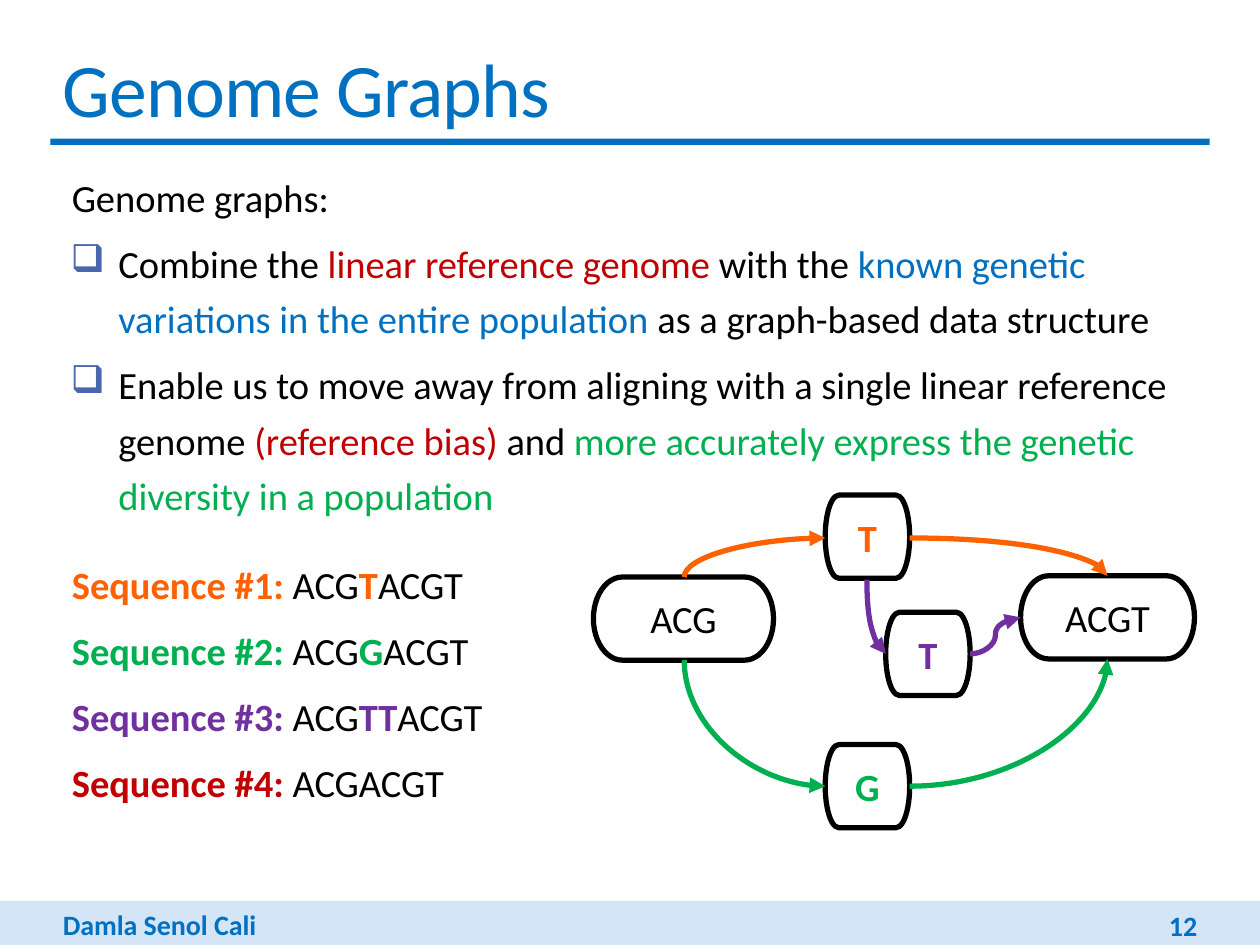
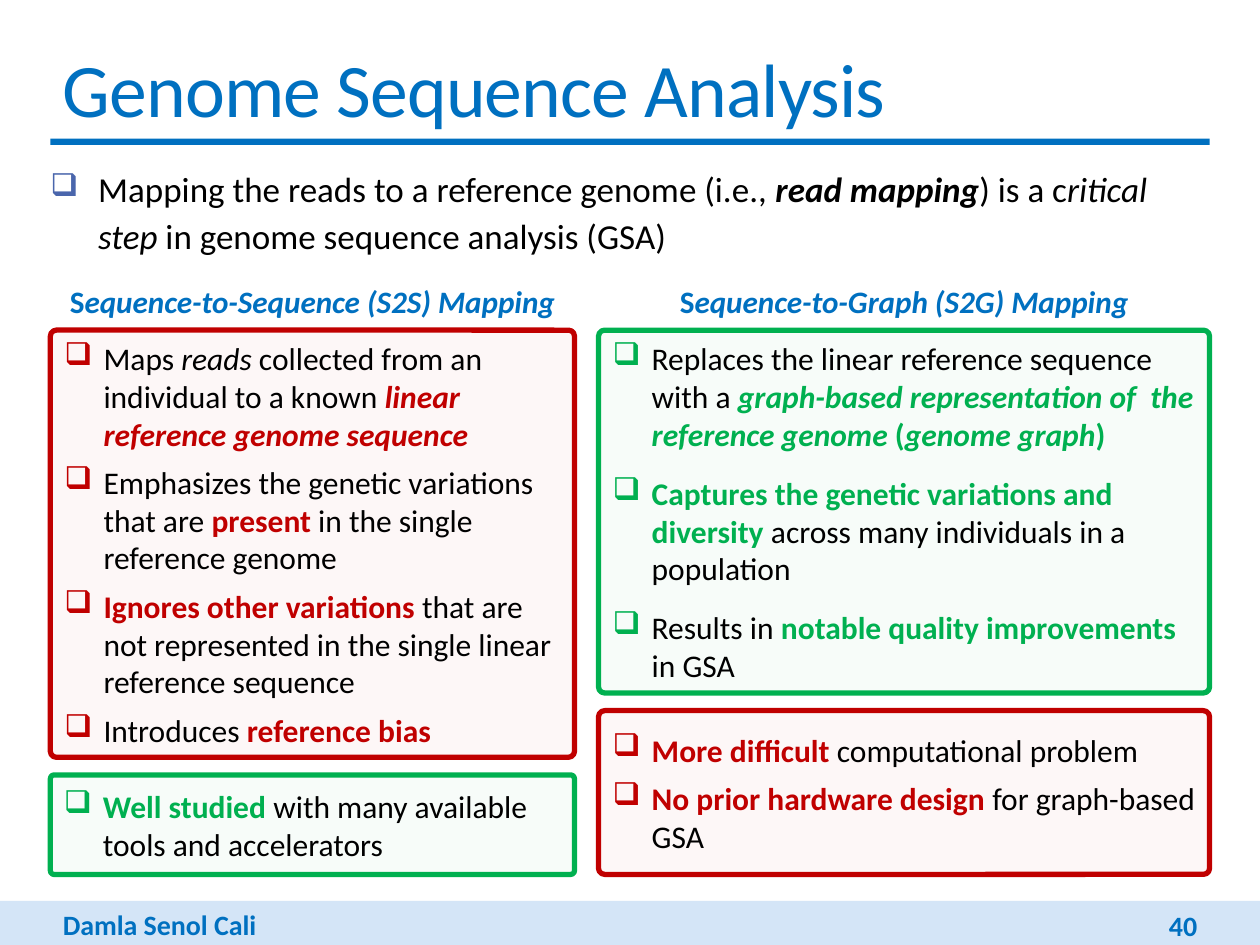
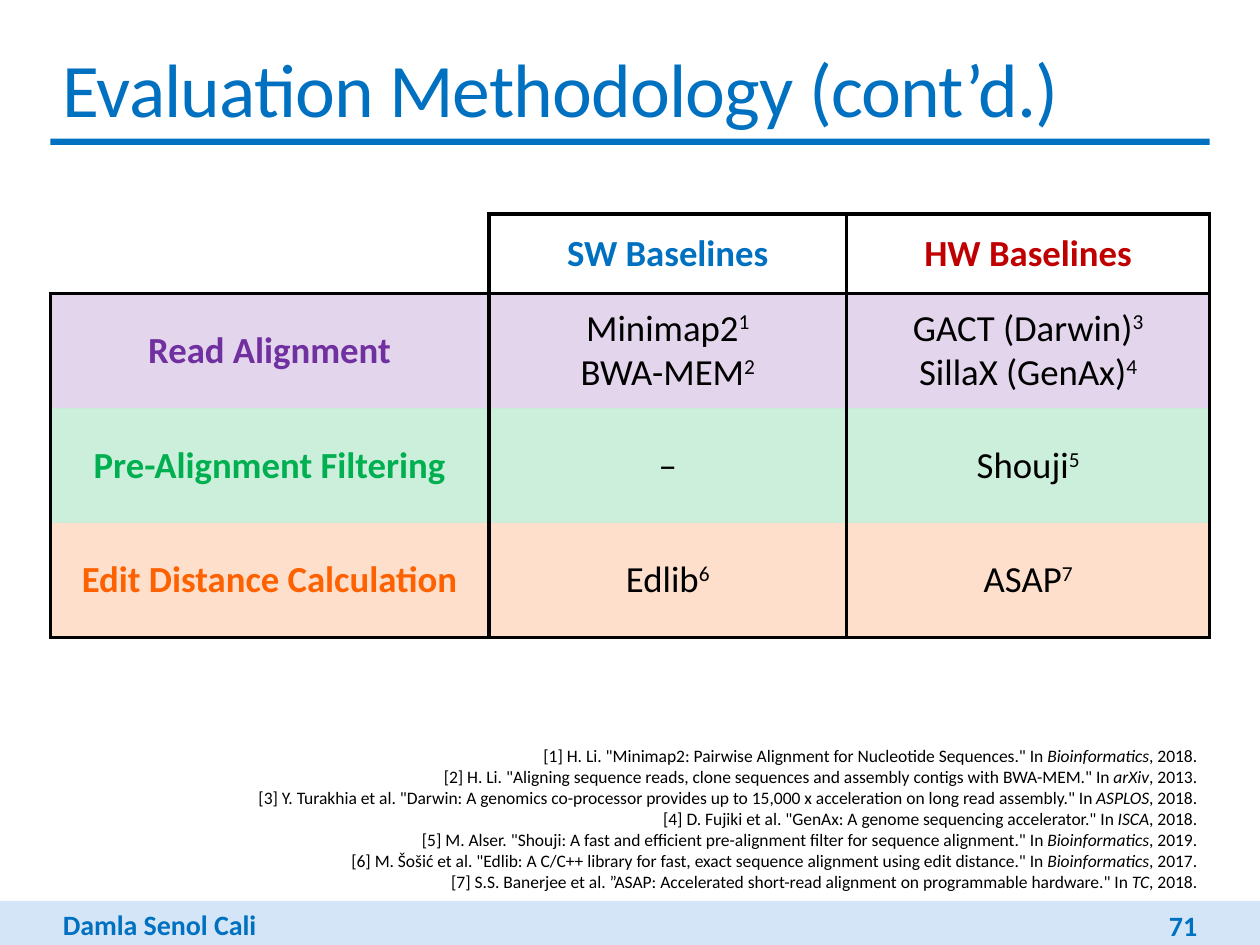
import pptx
import pptx.util
import pptx.dml.color
import pptx.enum.shapes
import pptx.enum.text
import pptx.oxml
import pptx.oxml.ns

Inches = pptx.util.Inches
Pt = pptx.util.Pt
qn = pptx.oxml.ns.qn
RGB = pptx.dml.color.RGBColor.from_string
Shape = pptx.enum.shapes.MSO_SHAPE
Curve = pptx.enum.shapes.MSO_CONNECTOR.CURVE
Align = pptx.enum.text.PP_ALIGN
Mid = pptx.enum.text.MSO_ANCHOR.MIDDLE
Top = pptx.enum.text.MSO_ANCHOR.TOP
SPACE = 'xmlns:a="http://schemas.openxmlformats.org/drawingml/2006/main"'

hues = {
    "black": "000000",
    "blue": "0070C0",
    "band": "D4E5F7",
    "mark": "4A66AC",
    "red": "C00000",
    "green": "00B050",
    "purple": "7030A0",
    "orange": "FE6200",
}


def write(frame, paras, look):
    side = Inches(look.get("side", 0.1))
    for key, val in {
        "word_wrap": True,
        "vertical_anchor": look.get("anchor", Top),
        "margin_left": side,
        "margin_right": side,
    }.items():
        setattr(frame, key, val)
    for row, runs in enumerate(paras):
        para = frame.add_paragraph() if row else frame.paragraphs[0]
        props = para._p.get_or_add_pPr()
        left, hang = look.get("indent", (0, 0))
        if row < look.get("lead", 0):
            left, hang = 0.17, 0
        elif "bullet" in look:
            for tag in (
                f'<a:buClr {SPACE}><a:srgbClr val="{hues[look["bullet"]]}"/></a:buClr>',
                f'<a:buSzPct {SPACE} val="{look.get("scale", 100)}000"/>',
                f'<a:buChar {SPACE} char="❑"/>',
            ):
                props.append(pptx.oxml.parse_xml(tag))
        props.set("marL", str(Inches(left)))
        props.set("indent", str(Inches(hang)))
        for key, val in {
            "alignment": look.get("align", Align.LEFT),
            "line_spacing": look.get("line", 1.0),
            "space_before": Pt(look.get("before", 0) if row else 0),
            "space_after": Pt(look.get("after", 0)),
        }.items():
            setattr(para, key, val)
        for text, style in runs:
            words = style.split()
            run = para.add_run()
            run.text = text
            for key, val in {
                "name": "Calibri",
                "size": Pt(look["size"]),
                "bold": "b" in words,
                "italic": "i" in words,
            }.items():
                setattr(run.font, key, val)
            hue = next((word for word in words if word in hues), "black")
            run.font.color.rgb = RGB(hues[hue])
            if "sup" in words:
                run.font._element.set("baseline", "30000")
            if "track" in look:
                run.font._element.set("spc", look["track"])


def tint(fill, node, hue, share):
    fill.solid()
    fill.fore_color.rgb = RGB(hues[hue])
    color = next(node.iter(qn("a:srgbClr")))
    color.append(pptx.oxml.parse_xml(f'<a:alpha {SPACE} val="{share}000"/>'))


deck = pptx.Presentation()
deck.slide_width = Inches(10)
deck.slide_height = Inches(7.5)

head = {"size": 43.2, "anchor": Mid, "track": "-50"}
foot = {"size": 16}
page_no = {"size": 16, "anchor": Mid, "align": Align.RIGHT}
body = {"size": 22, "side": 0, "line": 1.2, "after": 6}
points = body | {"indent": (0.54, -0.38), "bullet": "mark", "lead": 1}
claim = {"size": 20, "side": 0, "line": 1.1, "indent": (0.38, -0.38), "bullet": "mark", "scale": 90}
label = {"size": 17.8, "align": Align.CENTER}
card = {"size": 18, "anchor": Mid, "indent": (0.31, -0.31)}
node_look = {"size": 22, "anchor": Mid, "align": Align.CENTER}
cell_look = {"size": 21, "anchor": Mid, "align": Align.CENTER}
cite_look = {"size": 10, "align": Align.RIGHT, "indent": (0.11, 0)}

reads = [
    [("Sequence #1: ", "b orange"), ("ACG", ""), ("T", "b orange"), ("ACGT", "")],
    [("Sequence #2: ", "b green"), ("ACG", ""), ("G", "b green"), ("ACGT", "")],
    [("Sequence #3: ", "b purple"), ("ACG", ""), ("TT", "b purple"), ("ACGT", "")],
    [("Sequence #4: ", "b red"), ("ACGACGT", "")],
]
graphs = [
    [("Genome graphs:", "")],
    [
        ("Combine the ", ""),
        ("linear reference genome ", "red"),
        ("with the ", ""),
        ("known genetic variations in the entire population ", "blue"),
        ("as a graph-based data structure", ""),
    ],
    [
        ("Enable us to move away from aligning with a single linear reference genome ", ""),
        ("(reference bias) ", "red"),
        ("and ", ""),
        ("more accurately express the genetic diversity in a population", "green"),
    ],
]
mapping = [[
    ("Mapping the reads to a reference genome (i.e., ", ""),
    ("read mapping", "b i"),
    (") is a c", ""),
    ("ritical step", "i"),
    (" in genome sequence analysis (GSA)", ""),
]]
cites = [
    ('H. Li. "Minimap2: Pairwise Alignment for Nucleotide Sequences."', "Bioinformatics", 2018),
    ('H. Li. "Aligning sequence reads, clone sequences and assembly contigs with BWA-MEM."', "arXiv", 2013),
    ('Y. Turakhia et al. "Darwin: A genomics co-processor provides up to 15,000 x acceleration on long read assembly."', "ASPLOS", 2018),
    ('D. Fujiki et al. "GenAx: A genome sequencing accelerator."', "ISCA", 2018),
    ('M. Alser. "Shouji: A fast and efficient pre-alignment filter for sequence alignment."', "Bioinformatics", 2019),
    ('M. Šošić et al. "Edlib: A C/C++ library for fast, exact sequence alignment using edit distance."', "Bioinformatics", 2017),
    ('S.S. Banerjee et al. ”ASAP: Accelerated short-read alignment on programmable hardware."', "TC", 2018),
]
works = [
    [(f"[{num}] {work} In ", ""), (venue, "i"), (f", {year}.", "")]
    for num, (work, venue, year) in enumerate(cites, 1)
]

pages = []
for title, num, boxes in [
    ("Genome Graphs", 12, [
        ((0.4, 1.26, 9.2, 2.7), points, graphs),
        ((0.4, 4.33, 3.88, 2.55), body | {"indent": (0.17, 0)}, reads),
    ]),
    ("Genome Sequence Analysis", 40, [
        ((0.4, 1.25, 9.2, 0.84), claim, mapping),
        ((0.4, 2.19, 4.16, 0.4), label, [[("S", "b blue"), ("equence-to-Sequence (S2S) Mapping", "b i blue")]]),
        ((4.75, 2.19, 4.85, 0.4), label, [[("S", "b blue"), ("equence-to-Graph (S2G) Mapping", "b i blue")]]),
    ]),
    ("Evaluation Methodology (cont’d.)", 71, [
        ((0.4, 5.86, 9.2, 1.28), cite_look, works),
    ]),
]:
    page = deck.slides.add_slide(deck.slide_layouts[6])
    pages.append(page)
    for at, hue in [((0, 7.15, 10, 0.35), "band"), ((0.4, 1.1, 9.2, 0.05), "blue")]:
        bar = page.shapes.add_shape(Shape.RECTANGLE, *map(Inches, at))
        bar.shadow.inherit = False
        bar.fill.solid()
        bar.fill.fore_color.rgb = RGB(hues[hue])
        bar.line.fill.background()
    for at, look, paras in [
        ((0.4, 7.15, 2.5, 0.37), foot, [[("Damla Senol Cali", "b blue")]]),
        ((0.4, 0.28, 9.2, 0.82), head, [[(title, "blue")]]),
        ((8.22, 7.19, 1.38, 0.3), page_no, [[(str(num), "b blue")]]),
    ] + boxes:
        box = page.shapes.add_textbox(*map(Inches, at))
        write(box.text_frame, paras, look)

graph, study, setup = pages

for text, style, left, top, width in [
    ("ACG", "", 4.71, 4.58, 1.43),
    ("ACGT", "", 8.1, 4.57, 1.38),
    ("T", "b orange", 6.55, 3.93, 0.67),
    ("G", "b green", 6.55, 5.91, 0.67),
    ("T", "b purple", 7.03, 4.86, 0.67),
]:
    node = graph.shapes.add_shape(Shape.FLOWCHART_TERMINATOR, *map(Inches, (left, top, width, 0.66)))
    node.shadow.inherit = False
    node.fill.background()
    node.line.color.rgb = RGB(hues["black"])
    node.line.width = Pt(3)
    write(node.text_frame, [[(text, style)]], node_look)

for hue, bend, x1, y1, x2, y2 in [
    ("orange", "rise", 5.43, 4.58, 6.55, 4.27),
    ("green", "rise", 5.43, 5.24, 6.55, 6.24),
    ("orange", "run", 7.22, 4.27, 8.79, 4.57),
    ("green", "run", 7.22, 6.24, 8.79, 5.23),
    ("purple", "rise", 6.88, 4.6, 7.03, 5.19),
    ("purple", "wave", 7.7, 5.19, 8.1, 4.9),
]:
    ends = x1, y1, x2, y2
    if bend == "rise":
        midx, midy = (x1 + x2) / 2, (y1 + y2) / 2
        halfx, halfy = (x2 - x1) / 2, (y2 - y1) / 2
        ends = midx + halfy, midy - halfx, midx - halfy, midy + halfx
    edge = graph.shapes.add_connector(Curve, *map(Inches, ends))
    edge.line.color.rgb = RGB(hues[hue])
    edge.line.width = Pt(3)
    props = edge._element.spPr
    if bend != "wave":
        props.find(qn("a:prstGeom")).set("prst", "curvedConnector2")
    if bend == "rise":
        props.find(qn("a:xfrm")).set("rot", "16200000")
    props.find(qn("a:ln")).append(pptx.oxml.parse_xml(f'<a:tailEnd {SPACE} type="triangle"/>'))
    props.append(pptx.oxml.parse_xml(f"<a:effectLst {SPACE}/>"))

for at, hue, curve, gap, paras in [
    ((0.4, 2.62, 4.16, 3.39), "red", 0.014, 6, [
        [
            ("Maps ", ""),
            ("reads", "i"),
            (" collected from an individual to a known ", ""),
            ("linear reference genome sequence", "b i red"),
        ],
        [
            ("Emphasizes the genetic variations that are ", ""),
            ("present", "b red"),
            (" in the single reference genome", ""),
        ],
        [
            ("Ignores other variations ", "b red"),
            ("that are not represented in the single linear reference sequence", ""),
        ],
        [("Introduces ", ""), ("reference bias", "b red")],
    ]),
    ((4.75, 2.62, 4.85, 2.88), "green", 0.017, 12, [
        [
            ("Replaces the linear reference sequence with a ", ""),
            ("graph-based representation of  the reference genome", "b i green"),
            (" (", "b green"),
            ("genome graph", "b i green"),
            (")", "b green"),
        ],
        [
            ("Captures the genetic variations and diversity ", "b green"),
            ("across many individuals in a population", ""),
        ],
        [("Results in ", ""), ("notable quality improvements ", "b green"), ("in GSA", "")],
    ]),
    ((4.75, 5.64, 4.85, 1.3), "red", 0.038, 6, [
        [("More difficult ", "b red"), ("computational problem", "")],
        [("No prior hardware design ", "b red"), ("for graph-based GSA", "")],
    ]),
    ((0.4, 6.15, 4.16, 0.79), "green", 0.038, 0, [
        [("Well studied ", "b green"), ("with many available tools and accelerators", "")],
    ]),
]:
    panel = study.shapes.add_shape(Shape.ROUNDED_RECTANGLE, *map(Inches, at))
    panel.adjustments[0] = curve
    panel.shadow.inherit = False
    tint(panel.fill, panel._element.spPr, hue, 3)
    panel.line.color.rgb = RGB(hues[hue])
    panel.line.width = Pt(3)
    write(panel.text_frame, paras, card | {"bullet": hue, "before": gap})

grid = [
    (None, [], [[("SW Baselines", "b blue")]], [[("HW Baselines", "b red")]]),
    (
        "purple",
        [[("Read Alignment", "b purple")]],
        [[("Minimap2", ""), ("1", "sup")], [("BWA-MEM", ""), ("2", "sup")]],
        [[("GACT (Darwin)", ""), ("3", "sup")], [("SillaX (GenAx)", ""), ("4", "sup")]],
    ),
    (
        "green",
        [[("Pre-Alignment Filtering", "b green")]],
        [[("–", "")]],
        [[("Shouji", ""), ("5", "sup")]],
    ),
    (
        "orange",
        [[("Edit Distance Calculation", "b orange")]],
        [[("Edlib", ""), ("6", "sup")]],
        [[("ASAP", ""), ("7", "sup")]],
    ),
]
table = setup.shapes.add_table(4, 3, *map(Inches, (0.4, 1.7, 9.2, 3.36))).table
table.first_row = False
table.horz_banding = False
for col, width in zip(table.columns, (3.48, 2.84, 2.88)):
    col.width = Inches(width)
for row, (hue, *texts) in enumerate(grid):
    table.rows[row].height = Inches(0.91 if row else 0.63)
    for col, paras in enumerate(texts):
        cell = table.cell(row, col)
        write(cell.text_frame, paras, cell_look)
        cell.vertical_anchor = Mid
        props = cell._tc.get_or_add_tcPr()
        if hue:
            tint(cell.fill, props, hue, 20)
        else:
            cell.fill.background()
        blank = row == 0 and col == 0
        rules = {"L": not blank, "R": True, "T": row < 2 and not blank, "B": row in (0, 3)}
        for spot, (side, drawn) in enumerate(rules.items()):
            ink = f'<a:solidFill><a:srgbClr val="{hues["black"]}"/></a:solidFill>' if drawn else "<a:noFill/>"
            props.insert(spot, pptx.oxml.parse_xml(f'<a:ln{side} {SPACE} w="{Pt(2.25)}">{ink}</a:ln{side}>'))

deck.save("out.pptx")
